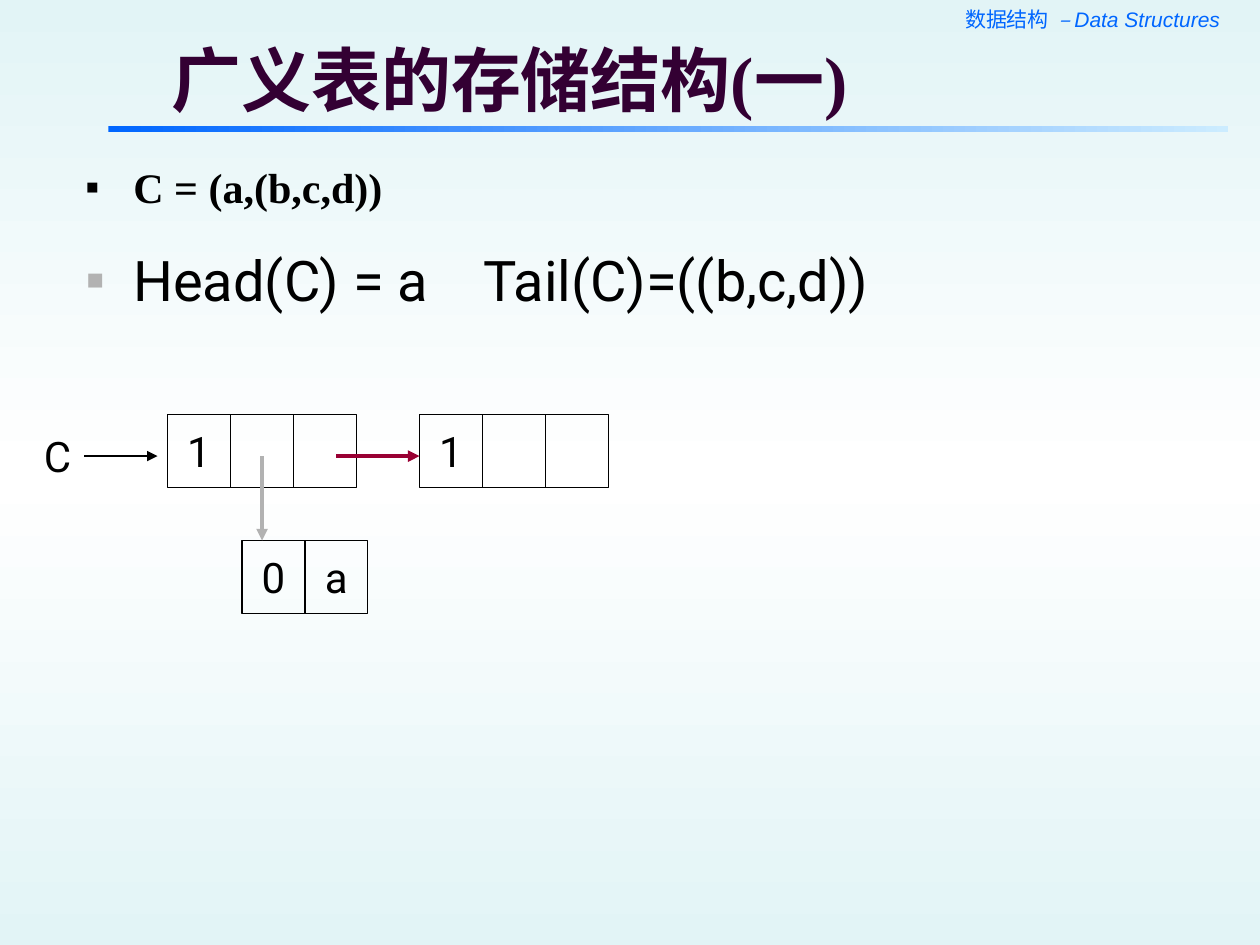
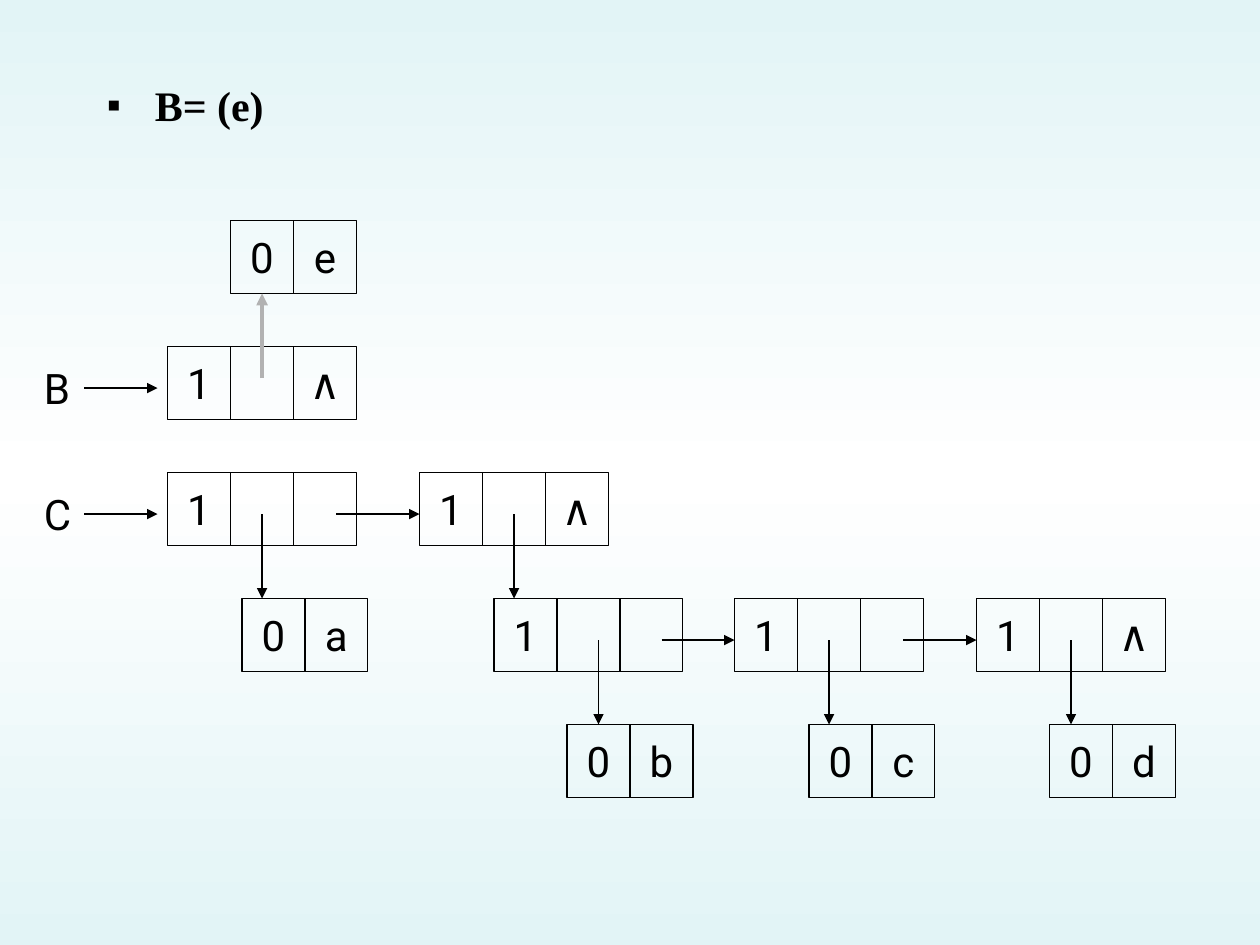
"""Build two slides on how generalized lists are stored as linked nodes."""
import copy

import lxml.etree
import pptx
import pptx.dml.color
import pptx.enum.shapes
import pptx.enum.text
import pptx.oxml.ns
import pptx.util

Inches = pptx.util.Inches
Pt = pptx.util.Pt
RGBColor = pptx.dml.color.RGBColor
qn = pptx.oxml.ns.qn
ALIGN = pptx.enum.text.PP_ALIGN
ANCHOR = pptx.enum.text.MSO_ANCHOR
RECTANGLE = pptx.enum.shapes.MSO_SHAPE.RECTANGLE
STRAIGHT = pptx.enum.shapes.MSO_CONNECTOR.STRAIGHT

BLACK = RGBColor(0x00, 0x00, 0x00)
GRAY = RGBColor(0xB2, 0xB2, 0xB2)
CRIMSON = RGBColor(0x99, 0x00, 0x33)
BLUE = RGBColor(0x00, 0x66, 0xFF)
PALE_BLUE = RGBColor(0xCC, 0xEC, 0xFF)
PLUM = RGBColor(0x33, 0x00, 0x33)
MIST = RGBColor(0xE2, 0xF4, 0xF6)
WHITE = RGBColor(0xFF, 0xFF, 0xFF)

SERIF = "Times New Roman"
SANS = "Arial"
BODY = "Roboto"
CELL_WIDTH = 0.5
CELL_HEIGHT = 0.58


def write_text(shape, text, font=BODY, size=24, color=BLACK, bold=False, italic=False,
               align=ALIGN.LEFT, anchor=ANCHOR.TOP, wrap=True,
               bullet_color=None, bullet_size=100, tab_stop=None):
    """Append a formatted run to the first paragraph of a shape."""
    frame = shape.text_frame
    frame.word_wrap = wrap
    frame.vertical_anchor = anchor
    frame.margin_left = frame.margin_right = Inches(0.1)
    frame.margin_top = frame.margin_bottom = Inches(0.05)
    paragraph = frame.paragraphs[0]
    paragraph.alignment = align
    paragraph.space_before = Pt(0)
    properties = paragraph._p.get_or_add_pPr()
    if bullet_color is not None:
        properties.set("marL", str(Inches(0.38)))
        properties.set("indent", str(-Inches(0.38)))
        bullet_fill = lxml.etree.SubElement(properties, qn("a:buClr"))
        lxml.etree.SubElement(bullet_fill, qn("a:srgbClr"), val=str(bullet_color))
        lxml.etree.SubElement(properties, qn("a:buSzPct"), val=str(bullet_size * 1000))
        lxml.etree.SubElement(properties, qn("a:buFont"), typeface=SANS)
        lxml.etree.SubElement(properties, qn("a:buChar"), char="▪")
    if tab_stop is not None:
        tabs = lxml.etree.SubElement(properties, qn("a:tabLst"))
        lxml.etree.SubElement(tabs, qn("a:tab"), pos=str(Inches(tab_stop)), algn="l")
    run = paragraph.add_run()
    run.text = text
    run.font.name = font
    run.font.size = Pt(size)
    run.font.bold = bold
    run.font.italic = italic
    run.font.color.rgb = color


presentation = pptx.Presentation()
presentation.slide_width = Inches(10)
presentation.slide_height = Inches(7.5)

master = presentation.slide_master
background = master.background.fill
background.gradient()
background.gradient_angle = 90
stop_list = master.element.find(".//" + qn("a:gsLst"))
stop_list.insert(1, copy.deepcopy(stop_list[0]))
for stop, position, color in zip(background.gradient_stops, (0, 0.5, 1), (MIST, WHITE, MIST)):
    stop.position = position
    stop.color.rgb = color

storage_slide = presentation.slides.add_slide(presentation.slide_layouts[5])
linked_slide = presentation.slides.add_slide(presentation.slide_layouts[6])

title = storage_slide.shapes.title
title.left, title.top, title.width, title.height = map(Inches, (1.26, 0.29, 8.24, 0.67))
write_text(title, "广义表的存储结构(一)", font=SERIF, size=40, color=PLUM, bold=True,
           anchor=ANCHOR.MIDDLE)

header = storage_slide.shapes.add_textbox(Inches(6), Inches(0), Inches(3.83), Inches(0.3))
write_text(header, "数据结构 ", font=SERIF, size=12, color=BLUE, align=ALIGN.RIGHT)
write_text(header, " – Data Structures ", font=SANS, size=12, color=BLUE, italic=True,
           align=ALIGN.RIGHT)

band = storage_slide.shapes.add_shape(RECTANGLE, Inches(0.86), Inches(1), Inches(8.89), Inches(0.05))
band.shadow.inherit = False
band.line.fill.background()
band.fill.gradient()
band.fill.gradient_angle = 0
for stop, position, color in zip(band.fill.gradient_stops, (0, 1), (BLUE, PALE_BLUE)):
    stop.position = position
    stop.color.rgb = color

formula_format = {"font": SERIF, "bold": True, "bullet_color": BLACK, "bullet_size": 95}
head_tail_format = {"size": 32, "bullet_color": GRAY, "tab_stop": 3.16}
text_boxes = [
    (storage_slide, 0.58, 1.23, 9.21, 0.75, "C = (a,(b,c,d))", formula_format),
    (storage_slide, 0.58, 1.9, 8.92, 0.67, "Head(C) = a\tTail(C)=((b,c,d))", head_tail_format),
    (storage_slide, 0.25, 3.37, 0.42, 0.5, "C", {}),
    (linked_slide, 0.75, 0.58, 6.88, 0.75, "B= (e)", formula_format),
    (linked_slide, 0.25, 2.83, 0.42, 0.5, "B", {}),
    (linked_slide, 0.25, 3.83, 0.42, 0.5, "C", {}),
]
for slide, left, top, width, height, text, text_format in text_boxes:
    box = slide.shapes.add_textbox(Inches(left), Inches(top), Inches(width), Inches(height))
    write_text(box, text, **text_format)

nodes = [
    (storage_slide, 1.33, 3.29, ("1", "", "")),
    (storage_slide, 3.33, 3.29, ("1", "", "")),
    (storage_slide, 1.92, 4.29, ("0", "a")),
    (linked_slide, 1.83, 1.75, ("0", "e")),
    (linked_slide, 1.33, 2.75, ("1", "", "∧")),
    (linked_slide, 1.33, 3.75, ("1", "", "")),
    (linked_slide, 3.33, 3.75, ("1", "", "∧")),
    (linked_slide, 1.92, 4.75, ("0", "a")),
    (linked_slide, 3.92, 4.75, ("1", "", "")),
    (linked_slide, 5.83, 4.75, ("1", "", "")),
    (linked_slide, 7.75, 4.75, ("1", "", "∧")),
    (linked_slide, 4.5, 5.75, ("0", "b")),
    (linked_slide, 6.42, 5.75, ("0", "c")),
    (linked_slide, 8.33, 5.75, ("0", "d")),
]
atom_tags = {}
for slide, left, top, labels in nodes:
    node = slide.shapes.add_group_shape()
    for column, label in enumerate(labels):
        cell = node.shapes.add_shape(RECTANGLE, Inches(left + column * CELL_WIDTH), Inches(top),
                                     Inches(CELL_WIDTH), Inches(CELL_HEIGHT))
        cell.shadow.inherit = False
        cell.fill.background()
        cell.line.color.rgb = BLACK
        cell.line.width = Pt(0.75)
        if label:
            write_text(cell, label, align=ALIGN.CENTER, anchor=ANCHOR.MIDDLE, wrap=False)
        if label == "0":
            atom_tags[labels[-1]] = cell

thin = (BLACK, 0.75, None)
arrows = [
    (storage_slide, 0.67, 3.62, 1.25, 3.62, *thin),
    (storage_slide, 2.08, 3.62, 2.08, 4.29, GRAY, 2.25, None),
    (storage_slide, 2.67, 3.62, 3.33, 3.62, CRIMSON, 2.25, None),
    (linked_slide, 0.67, 3.08, 1.25, 3.08, *thin),
    (linked_slide, 2.08, 3, 2.08, 2.33, GRAY, 2.25, ("e", 2)),
    (linked_slide, 0.67, 4.08, 1.25, 4.08, *thin),
    (linked_slide, 2.08, 4.08, 2.08, 4.75, *thin),
    (linked_slide, 2.67, 4.08, 3.33, 4.08, *thin),
    (linked_slide, 4.08, 4.08, 4.08, 4.75, *thin),
    (linked_slide, 4.75, 5.08, 4.75, 5.75, BLACK, 0.75, ("b", 0)),
    (linked_slide, 5.25, 5.08, 5.83, 5.08, *thin),
    (linked_slide, 6.58, 5.08, 6.58, 5.75, *thin),
    (linked_slide, 7.17, 5.08, 7.75, 5.08, *thin),
    (linked_slide, 8.5, 5.08, 8.5, 5.75, *thin),
]
for slide, start_x, start_y, end_x, end_y, color, width, target in arrows:
    arrow = slide.shapes.add_connector(STRAIGHT, Inches(start_x), Inches(start_y),
                                       Inches(end_x), Inches(end_y))
    arrow.line.color.rgb = color
    arrow.line.width = Pt(width)
    lxml.etree.SubElement(arrow.line._get_or_add_ln(), qn("a:tailEnd"), type="triangle")
    lxml.etree.SubElement(arrow._element.spPr, qn("a:effectLst"))
    if target:
        atom, side = target
        arrow.end_connect(atom_tags[atom], side)

presentation.save("out.pptx")
